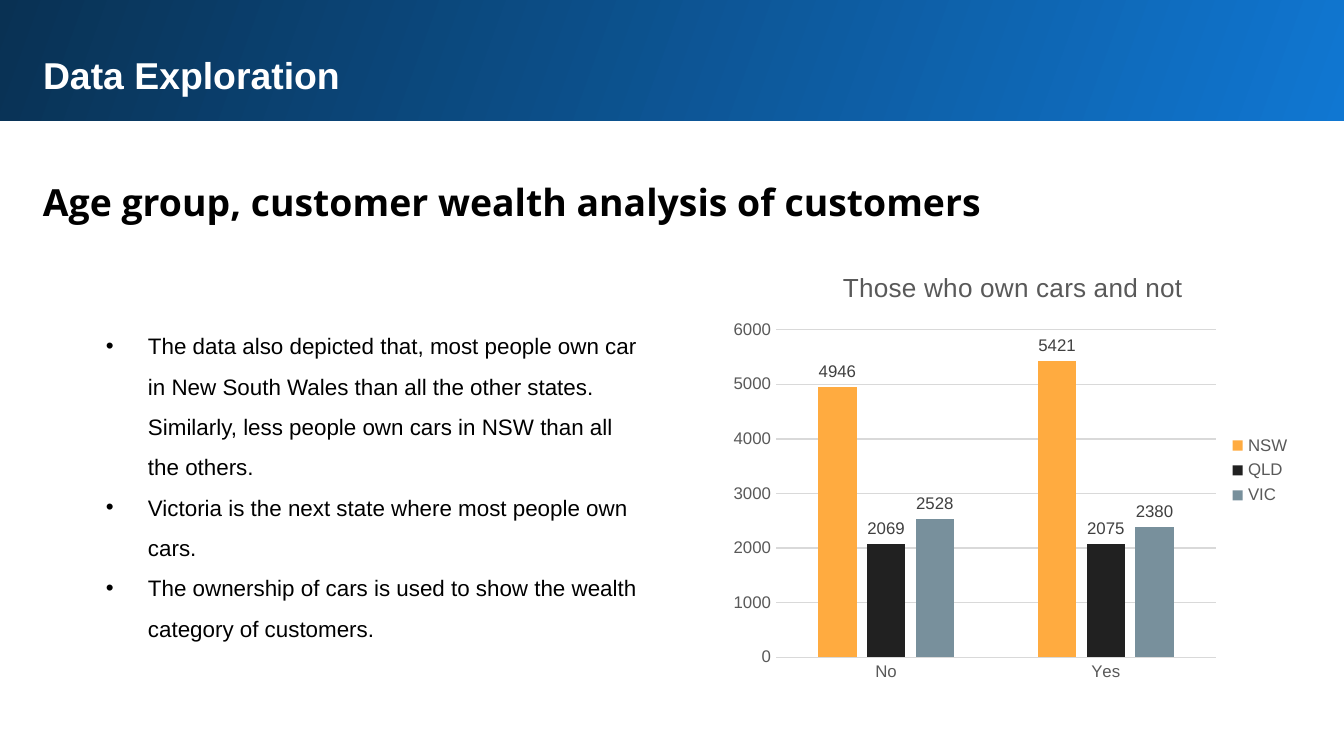
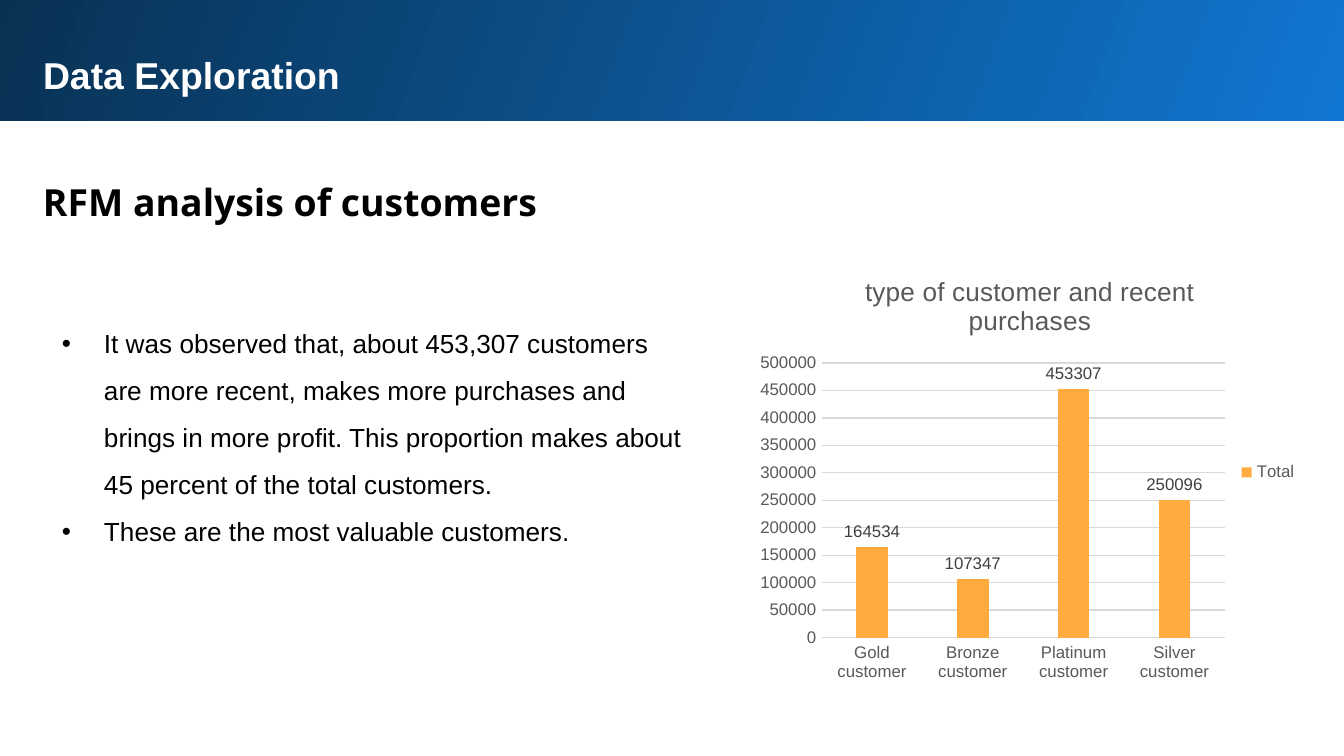
from dataclasses import dataclass

from pptx import Presentation
from pptx.chart.data import CategoryChartData
from pptx.dml.color import RGBColor
from pptx.enum.chart import (XL_CHART_TYPE, XL_LABEL_POSITION,
                             XL_LEGEND_POSITION, XL_TICK_MARK)
from pptx.enum.shapes import MSO_SHAPE
from pptx.enum.text import MSO_ANCHOR, MSO_AUTO_SIZE, PP_ALIGN
from pptx.util import Emu, Pt

COLUMNS = XL_CHART_TYPE.COLUMN_CLUSTERED
OUTSIDE_END = XL_LABEL_POSITION.OUTSIDE_END
LEGEND_RIGHT = XL_LEGEND_POSITION.RIGHT
NO_TICK = XL_TICK_MARK.NONE
RECTANGLE = MSO_SHAPE.RECTANGLE
TOP = MSO_ANCHOR.TOP
NO_FIT = MSO_AUTO_SIZE.NONE
LEFT = PP_ALIGN.LEFT

# Content: positions are left, top, width, height in pixels
TITLE = "Data Exploration"
SLIDES = [
    {
        "heading": "Age group, customer wealth analysis of customers",
        "bullets": [
            "The data also depicted that, most people own car in New South "
            "Wales than all the other states. Similarly, less people own "
            "cars in NSW than all the others.",
            "Victoria is the next state where most people own cars.",
            "The ownership of cars is used to show the wealth category of "
            "customers.",
        ],
        "bullet_size": 12,
        "bullet_place": (99, 312, 551, 339),
        "chart_title": "Those who own cars and not",
        "chart_place": (722, 250, 582, 441),
        "categories": ["No", "Yes"],
        "series": {"NSW": [4946, 5421], "QLD": [2069, 2075],
                   "VIC": [2528, 2380]},
    },
    {
        "heading": "RFM analysis of customers",
        "bullets": [
            "It was observed that, about 453,307 customers are more recent, "
            "makes more purchases and brings in more profit. This proportion "
            "makes about 45 percent of the total customers.",
            "These are the most valuable customers.",
        ],
        "bullet_size": 14,
        "bullet_place": (55, 305, 637, 251),
        "chart_title": "type of customer and recent purchases",
        "chart_place": (749, 254, 562, 437),
        "categories": ["Gold customer", "Bronze customer",
                       "Platinum customer", "Silver customer"],
        "series": {"Total": [164534, 107347, 453307, 250096]},
    },
]


@dataclass(frozen=True)
class Theme:
    font: str = "Arial"
    heading_font: str = "Open Sans"
    white: str = "FFFFFF"
    black: str = "000000"
    band: tuple = ("1077D2", "093153")
    grid: str = "D9D9D9"
    axis_text: str = "595959"
    label_text: str = "404040"
    series: tuple = ("FFAB40", "212121", "78909C")
    title_size: int = 20
    chart_title_size: int = 14
    chart_size: int = 9


THEME = Theme()
PAGE_SIZE = (1344, 756)
BAND_PLACE = (-3, -3, 1351, 124)
TITLE_PLACE = (30, 39, 1259, 69)
HEADING_PLACE = (30, 159, 1259, 75)
BULLET_INDENT = 42


# Helpers
def px(pixels):
    return Emu(round(pixels * 914400 / 134.4))


def rgb(code):
    return RGBColor.from_string(code)


def set_font(font, size, color, name=THEME.font, bold=False):
    font.name, font.size, font.bold = name, Pt(size), bold
    font.color.rgb = rgb(color)


def place(shape, position):
    shape.left, shape.top, shape.width, shape.height = map(px, position)


def fill_text(box, lines, inset, spacing, size, color, **font):
    frame = box.text_frame
    frame.word_wrap, frame.auto_size = True, NO_FIT
    frame.vertical_anchor = TOP
    frame.margin_left = frame.margin_right = px(inset)
    frame.margin_top = frame.margin_bottom = px(inset)
    frame.text = "\n".join(lines)
    for para in frame.paragraphs:
        para.alignment, para.line_spacing = LEFT, spacing
        para.space_before = para.space_after = Pt(0)
        set_font(para.font, size, color, **font)


def add_band(page):
    band = page.shapes.add_shape(RECTANGLE, *map(px, BAND_PLACE))
    band.shadow.inherit = False
    band.line.fill.background()
    band.fill.gradient()
    band.fill.gradient_angle = 160
    for stop, color in zip(band.fill.gradient_stops, THEME.band):
        stop.color.rgb = rgb(color)
    page.shapes._spTree.insert(2, band._element)  # behind the title


def add_bullets(page, content):
    box = page.placeholders[1]
    place(box, content["bullet_place"])
    fill_text(box, content["bullets"], 7, 1.5, content["bullet_size"],
              THEME.black)
    for para in box.text_frame.paragraphs:
        properties = para._p.get_or_add_pPr()
        properties.set("marL", str(px(BULLET_INDENT)))
        properties.set("indent", str(px(-BULLET_INDENT)))


def style_axis(axis, line_format):
    axis.major_tick_mark = axis.minor_tick_mark = NO_TICK
    set_font(axis.tick_labels.font, THEME.chart_size, THEME.axis_text)
    line_format.color.rgb = rgb(THEME.grid)
    line_format.width = Pt(0.75)


def add_chart(page, content):
    data = CategoryChartData()
    data.categories = content["categories"]
    for name, values in content["series"].items():
        data.add_series(name, values)
    chart = page.shapes.add_chart(
        COLUMNS, *map(px, content["chart_place"]), data).chart
    set_font(chart.font, 10, THEME.black)

    chart.has_title = True
    chart.chart_title.include_in_layout = False
    title_frame = chart.chart_title.text_frame
    title_frame.text = content["chart_title"]
    set_font(title_frame.paragraphs[0].font, THEME.chart_title_size,
             THEME.axis_text)

    chart.has_legend = True
    chart.legend.position = LEGEND_RIGHT
    chart.legend.include_in_layout = False
    set_font(chart.legend.font, THEME.chart_size, THEME.axis_text)

    style_axis(chart.category_axis, chart.category_axis.format.line)
    style_axis(chart.value_axis, chart.value_axis.major_gridlines.format.line)
    chart.value_axis.format.line.fill.background()

    plot = chart.plots[0]
    plot.gap_width, plot.overlap = 219, -27
    plot.vary_by_categories = False
    for series, color in zip(plot.series, THEME.series):
        series.format.fill.solid()
        series.format.fill.fore_color.rgb = rgb(color)
        labels = series.data_labels
        labels.show_value, labels.position = True, OUTSIDE_END
        set_font(labels.font, THEME.chart_size, THEME.label_text)


# Build the deck
deck = Presentation()
deck.slide_width, deck.slide_height = map(px, PAGE_SIZE)
for content in SLIDES:
    page = deck.slides.add_slide(deck.slide_layouts[1])
    add_band(page)
    place(page.shapes.title, TITLE_PLACE)
    fill_text(page.shapes.title, [TITLE], 13, 1.0, THEME.title_size,
              THEME.white, bold=True)
    heading = page.shapes.add_textbox(*map(px, HEADING_PLACE))
    fill_text(heading, [content["heading"]], 13, 1.15, THEME.title_size,
              THEME.black, name=THEME.heading_font, bold=True)
    add_bullets(page, content)
    add_chart(page, content)
deck.save("out.pptx")
